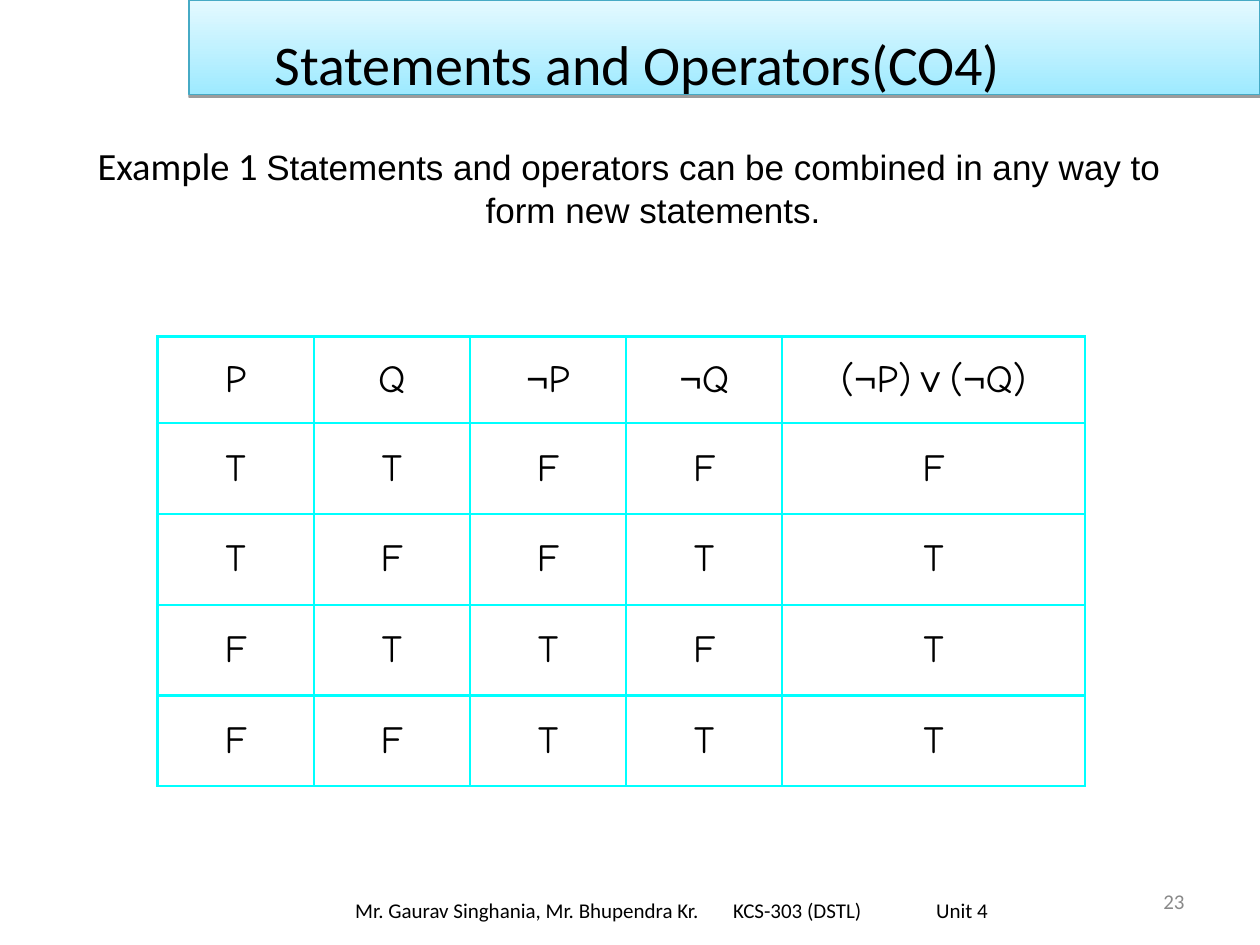
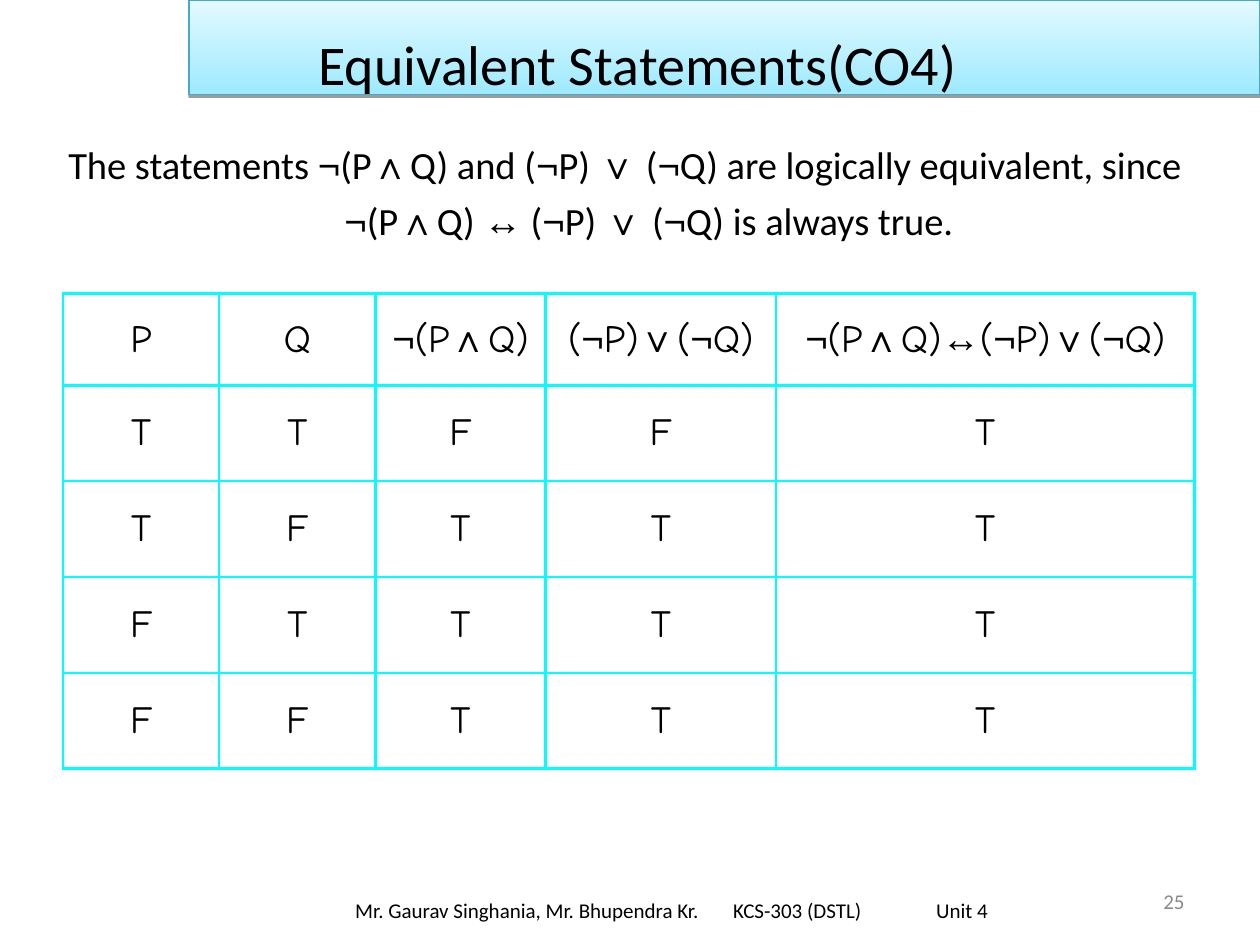
"""Build two truth-table slides on statements and logical equivalence."""
from dataclasses import dataclass
from itertools import groupby

from lxml.etree import SubElement
from pptx import Presentation
from pptx.dml.color import RGBColor
from pptx.enum.shapes import MSO_SHAPE
from pptx.enum.text import MSO_ANCHOR, PP_ALIGN
from pptx.oxml.ns import qn
from pptx.slide import Slide
from pptx.text.text import TextFrame, _Paragraph, _Run
from pptx.util import Inches, Pt

BLACK, GREY, CYAN = "000000", "898989", "00FFFF"
BAND_EDGE, BAND_BOTTOM, BAND_TOP = "46AAC5", "9EEAFF", "E4F9FF"
HEADING_FONT, SYMBOL_FONT, TABLE_FONT = "Calibri", "Arial", "Comic Neue"
SYMBOLS = "¬∧∨↔"
FOOTER = "Mr. Gaurav Singhania, Mr. Bhupendra Kr.\tKCS-303 (DSTL)\tUnit 4"
FOOTER_STOPS = (3, 4.61)


@dataclass(frozen=True)
class Box:
    """Position and size in inches."""
    left: float
    top: float
    width: float
    height: float

    def lengths(self) -> tuple:
        """Return the four values as lengths."""
        return tuple(map(Inches, (self.left, self.top, self.width, self.height)))


@dataclass(frozen=True)
class Phrase:
    """A stretch of statement text in one font and size."""
    text: str
    size: float = 22
    font: str = HEADING_FONT


@dataclass(frozen=True)
class TruthTable:
    """A truth table with one string of T and F per row."""
    left: float
    top: float
    widths: tuple[float, ...]
    heading_height: float
    row_height: float
    headings: tuple[str, ...]
    rows: tuple[str, ...]


@dataclass(frozen=True)
class Lesson:
    """The content of one slide."""
    number: int
    title: str
    statement_box: Box
    statement: tuple[Phrase, ...]
    line_spacing: float
    table: TruthTable


LESSONS = (
    Lesson(
        23, "Statements and Operators(CO4)", Box(0.58, 1.08, 8.83, 0.75),
        (Phrase("Example 1 "),
         Phrase("Statements and operators can be combined in any way to form new statements.",
                20, SYMBOL_FONT)),
        1.0,
        TruthTable(1.25, 2.67, (1.24, 1.24, 1.24, 1.24, 2.4), 0.69, 0.72,
                   ("P", "Q", "¬P", "¬Q", "(¬P)∨(¬Q)"),
                   ("TTFFF", "TFFTT", "FTTFT", "FFTTT")),
    ),
    Lesson(
        25, "Equivalent Statements(CO4)", Box(0.25, 1, 9.42, 1.08),
        (Phrase("The statements ¬(P∧Q) and (¬P) ∨ (¬Q) are logically equivalent, since "
                "¬(P∧Q) ↔ (¬P) ∨ (¬Q) is always true."),),
        1.2,
        TruthTable(0.5, 2.33, (1.24, 1.24, 1.35, 1.83, 3.32), 0.73, 0.76,
                   ("P", "Q", "¬(P∧Q)", "(¬P)∨(¬Q)", "¬(P∧Q)↔(¬P)∨(¬Q)"),
                   ("TTFFT", "TFTTT", "FTTTT", "FFTTT")),
    ),
)


def rgb(value: str) -> RGBColor:
    """Turn a hex string into a colour."""
    return RGBColor.from_string(value)


def style_run(run: _Run, size: float, font: str, color: str = BLACK) -> None:
    """Set the size, font and colour of a run."""
    run.font.size = Pt(size)
    run.font.name = font
    run.font.color.rgb = rgb(color)


def add_logic(paragraph: _Paragraph, phrase: Phrase) -> None:
    """Add a phrase, with its logical symbols in the symbol font."""
    for is_symbol, characters in groupby(phrase.text, lambda character: character in SYMBOLS):
        run = paragraph.add_run()
        run.text = "".join(characters)
        style_run(run, phrase.size, SYMBOL_FONT if is_symbol else phrase.font)
        run.font.bold = run.text == "↔"


def add_frame(slide: Slide, box: Box, anchor: MSO_ANCHOR = MSO_ANCHOR.MIDDLE) -> TextFrame:
    """Add a wrapping text box and return its frame."""
    frame = slide.shapes.add_textbox(*box.lengths()).text_frame
    frame.word_wrap = True
    frame.vertical_anchor = anchor
    return frame


def add_line(slide: Slide, box: Box, text: str, size: float,
             align: PP_ALIGN = PP_ALIGN.CENTER, color: str = BLACK) -> TextFrame:
    """Add a single line of text in the heading font."""
    frame = add_frame(slide, box)
    paragraph = frame.paragraphs[0]
    paragraph.text = text
    paragraph.alignment = align
    for run in paragraph.runs:
        style_run(run, size, HEADING_FONT, color)
    return frame


def add_band(slide: Slide) -> None:
    """Draw the shaded band behind the title."""
    band = slide.shapes.add_shape(MSO_SHAPE.RECTANGLE, *Box(1.5, 0, 8.5, 0.75).lengths())
    band.fill.gradient()
    band.fill.gradient_angle = 90
    for stop, color in zip(band.fill.gradient_stops, (BAND_BOTTOM, BAND_TOP)):
        stop.color.rgb = rgb(color)
    band.line.color.rgb = rgb(BAND_EDGE)
    band.line.width = Pt(0.75)
    band.shadow.inherit = False
    effects = band._element.spPr.find(qn("a:effectLst"))
    shadow = SubElement(effects, qn("a:outerShdw"), blurRad="0", dist=str(Pt(1.6)),
                        dir="5400000", rotWithShape="0")
    shade = SubElement(shadow, qn("a:srgbClr"), val=BLACK)
    SubElement(shade, qn("a:alpha"), val="38000")


def add_title(slide: Slide, title: str) -> None:
    """Write the slide title, set slightly low in the band."""
    frame = add_line(slide, Box(0.75, 0, 8.5, 0.92), title, 32)
    frame.margin_left = Inches(0.22)
    frame.margin_top = Inches(0.13)


def add_footer(slide: Slide) -> None:
    """Write the authors, course and unit at fixed tab stops."""
    frame = add_line(slide, Box(2.58, 7.02, 5.5, 0.4), FOOTER, 12)
    stops = SubElement(frame.paragraphs[0]._p.get_or_add_pPr(), qn("a:tabLst"))
    for position in FOOTER_STOPS:
        SubElement(stops, qn("a:tab"), pos=str(Inches(position)), algn="l")


def add_statement(slide: Slide, lesson: Lesson) -> None:
    """Write the statement above the table with a hanging indent."""
    paragraph = add_frame(slide, lesson.statement_box, MSO_ANCHOR.TOP).paragraphs[0]
    paragraph.alignment = PP_ALIGN.CENTER
    paragraph.line_spacing = lesson.line_spacing
    properties = paragraph._p.get_or_add_pPr()
    properties.set("marL", str(Inches(0.38)))
    properties.set("indent", str(-Inches(0.38)))
    for phrase in lesson.statement:
        add_logic(paragraph, phrase)


def add_truth_table(slide: Slide, content: TruthTable) -> None:
    """Draw a truth table with cyan rules and no fill."""
    values = (content.headings, *content.rows)
    heights = (content.heading_height, *[content.row_height] * len(content.rows))
    box = Box(content.left, content.top, sum(content.widths), sum(heights))
    table = slide.shapes.add_table(len(values), len(content.widths), *box.lengths()).table
    table.first_row = table.horz_banding = False
    for column, width in zip(table.columns, content.widths):
        column.width = Inches(width)
    for row, height, texts in zip(table.rows, heights, values):
        row.height = Inches(height)
        for cell, text in zip(row.cells, texts):
            cell.vertical_anchor = MSO_ANCHOR.MIDDLE
            paragraph = cell.text_frame.paragraphs[0]
            paragraph.alignment = PP_ALIGN.CENTER
            add_logic(paragraph, Phrase(text, font=TABLE_FONT))
            for side in "LRTB":
                rule = SubElement(cell._tc.get_or_add_tcPr(), qn(f"a:ln{side}"),
                                  w=str(Pt(1.47)))
                SubElement(SubElement(rule, qn("a:solidFill")), qn("a:srgbClr"), val=CYAN)
            cell.fill.background()


def add_lesson(slide: Slide, lesson: Lesson) -> None:
    """Draw one complete slide."""
    add_line(slide, Box(7.17, 6.95, 2.33, 0.4), str(lesson.number), 12, PP_ALIGN.RIGHT, GREY)
    add_band(slide)
    add_title(slide, lesson.title)
    add_statement(slide, lesson)
    add_truth_table(slide, lesson.table)
    add_footer(slide)


def main() -> None:
    """Build and save the presentation."""
    presentation = Presentation()
    presentation.slide_width = Inches(10)
    presentation.slide_height = Inches(7.5)
    blank = presentation.slide_layouts[6]
    for lesson in LESSONS:
        add_lesson(presentation.slides.add_slide(blank), lesson)
    presentation.save("out.pptx")


if __name__ == "__main__":
    main()
